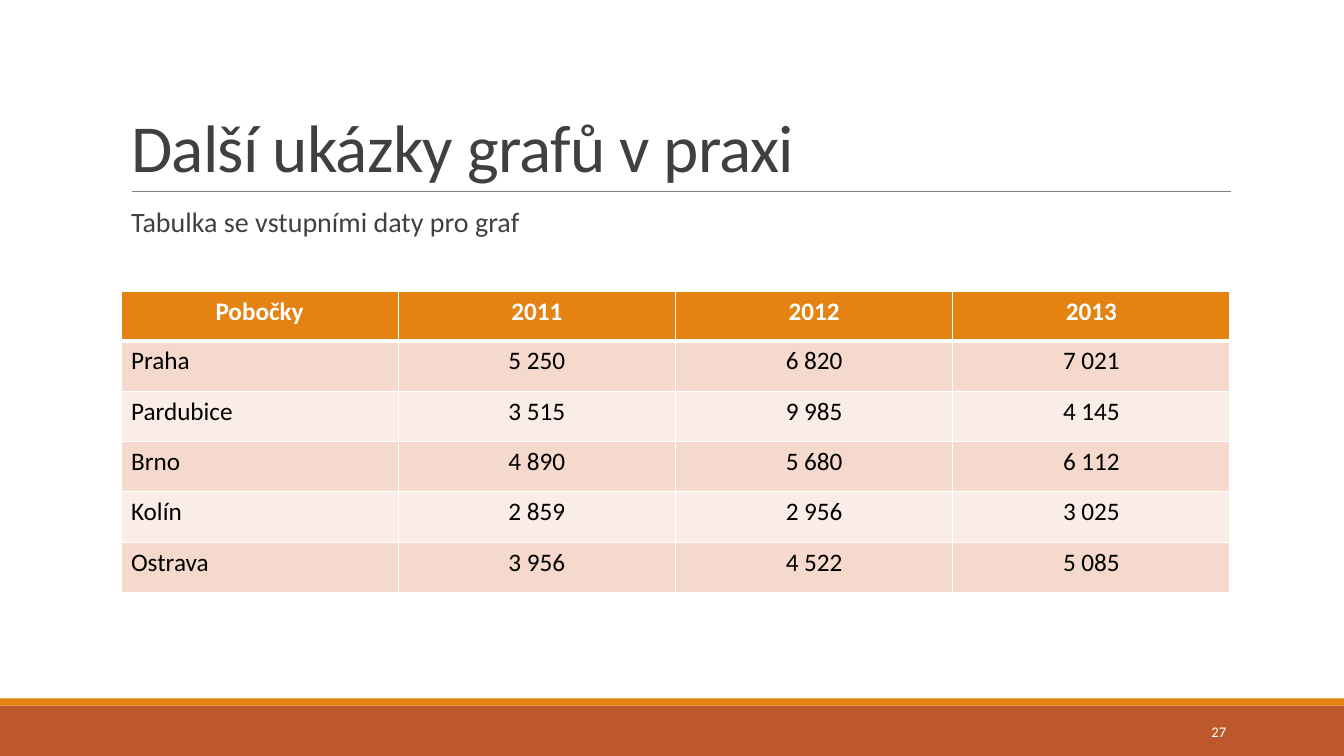
from pptx import Presentation
from pptx.dml.color import RGBColor
from pptx.enum.shapes import MSO_CONNECTOR, MSO_SHAPE
from pptx.enum.text import MSO_ANCHOR, MSO_AUTO_SIZE, PP_ALIGN
from pptx.oxml.ns import qn
from pptx.util import Inches, Pt
from lxml import etree

LEFT, CENTER, RIGHT = PP_ALIGN.LEFT, PP_ALIGN.CENTER, PP_ALIGN.RIGHT
TOP, MIDDLE, BOTTOM = MSO_ANCHOR.TOP, MSO_ANCHOR.MIDDLE, MSO_ANCHOR.BOTTOM
ORANGE, RUST, DARK, WHITE = "E48312", "BD582C", "404040", "FFFFFF"
BANDS = ["F5D9CC", "FAEDE7"]


def rgb(code):
    return RGBColor.from_string(code)


def write(frame, text, size, color, align=LEFT, bold=False, space=1.0, anchor=TOP):
    frame.word_wrap = True
    frame.vertical_anchor = anchor
    para = frame.paragraphs[0]
    para.alignment = align
    para.line_spacing = space
    para.space_before = Pt(0)
    run = para.add_run()
    run.text = text
    font = run.font
    font.name, font.size, font.bold = "Calibri", Pt(size), bold
    font.color.rgb = rgb(color)
    return para


deck = Presentation()
deck.slide_width, deck.slide_height = Inches(13.33), Inches(7.5)
slide = deck.slides.add_slide(deck.slide_layouts[1])
shapes = slide.shapes

# Footer bands
for top, height, color in [(7, 0.5, RUST), (6.93, 0.07, ORANGE)]:
    band = shapes.add_shape(MSO_SHAPE.RECTANGLE, 0, Inches(top), deck.slide_width, Inches(height))
    band.shadow.inherit = False
    band.fill.solid()
    band.fill.fore_color.rgb = rgb(color)
    band.line.fill.background()

# Rule under the title
rule = shapes.add_connector(MSO_CONNECTOR.STRAIGHT, Inches(1.31), Inches(1.9), Inches(12.21), Inches(1.9))
rule.line.color.rgb = rgb("808080")
rule.line.width = Pt(0.5)
etree.SubElement(rule.element.spPr, qn("a:effectLst"))

# Title and lead line
title, body = shapes.title, slide.placeholders[1]
for holder, top, height in [(title, 0.31, 1.59), (body, 2.02, 4.4)]:
    holder.left, holder.top = Inches(1.2), Inches(top)
    holder.width, holder.height = Inches(11), Inches(height)
    holder.text_frame.auto_size = MSO_AUTO_SIZE.NONE

head = write(title.text_frame, "Další ukázky grafů v praxi", 48, DARK, space=0.85, anchor=BOTTOM)
head.runs[0].font._element.set("spc", "-50")

body.text_frame.margin_left = body.text_frame.margin_right = 0
lead = write(body.text_frame, "Tabulka se vstupními daty pro graf", 20, DARK, space=0.9)
lead.space_after = Pt(2)
props = lead._p.get_or_add_pPr()
props.set("marL", str(Inches(0.1)))
props.set("indent", str(Inches(-0.1)))
etree.SubElement(props, qn("a:buChar"), char=" ")

# Slide number
number = shapes.add_textbox(Inches(10.83), Inches(7.06), Inches(1.43), Inches(0.4))
write(number.text_frame, "27", 10.5, WHITE, align=RIGHT, anchor=MIDDLE)

# Branch table
rows = [
    ["Pobočky", "2011", "2012", "2013"],
    ["Praha", "5 250", "6 820", "7 021"],
    ["Pardubice", "3 515", "9 985", "4 145"],
    ["Brno", "4 890", "5 680", "6 112"],
    ["Kolín", "2 859", "2 956", "3 025"],
    ["Ostrava", "3 956", "4 522", "5 085"],
]
table = shapes.add_table(len(rows), 4, Inches(1.2), Inches(2.89), Inches(11), Inches(2.97)).table
for r, row in enumerate(rows):
    table.rows[r].height = Inches(0.5 if r else 0.49)
    for c, text in enumerate(row):
        cell = table.cell(r, c)
        # Borders, thick between the header and the data
        for side in "LRTB":
            thick = (r, side) in [(0, "B"), (1, "T")]
            edge = etree.SubElement(cell._tc.get_or_add_tcPr(), qn("a:ln" + side), w=str(Pt(3 if thick else 1)))
            paint = etree.SubElement(edge, qn("a:solidFill"))
            etree.SubElement(paint, qn("a:srgbClr"), val=WHITE)
        cell.fill.solid()
        cell.fill.fore_color.rgb = rgb(BANDS[(r - 1) % 2] if r else ORANGE)
        write(cell.text_frame, text, 18, "000000" if r else WHITE,
              align=LEFT if r and c == 0 else CENTER, bold=r == 0)

deck.save("out.pptx")
